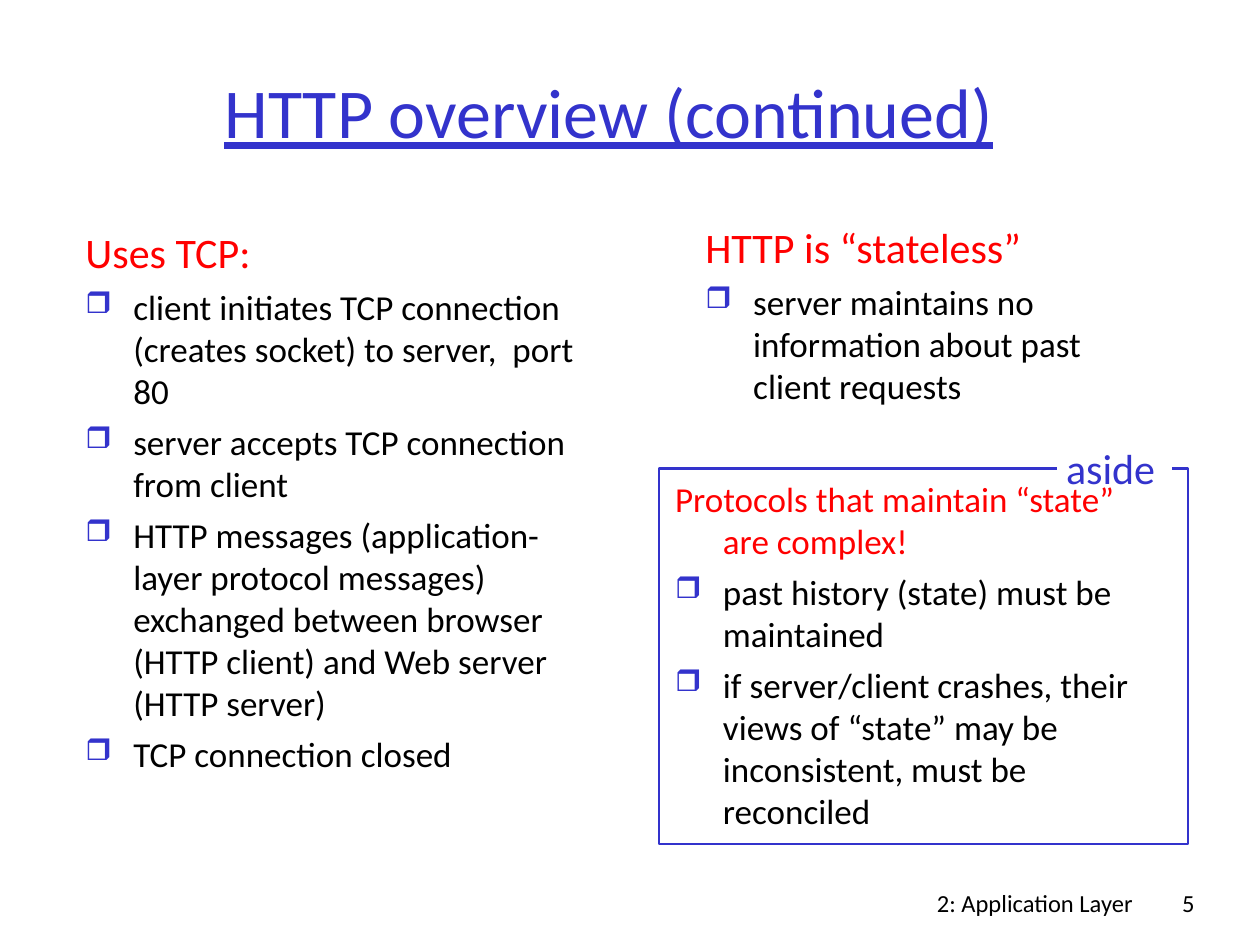
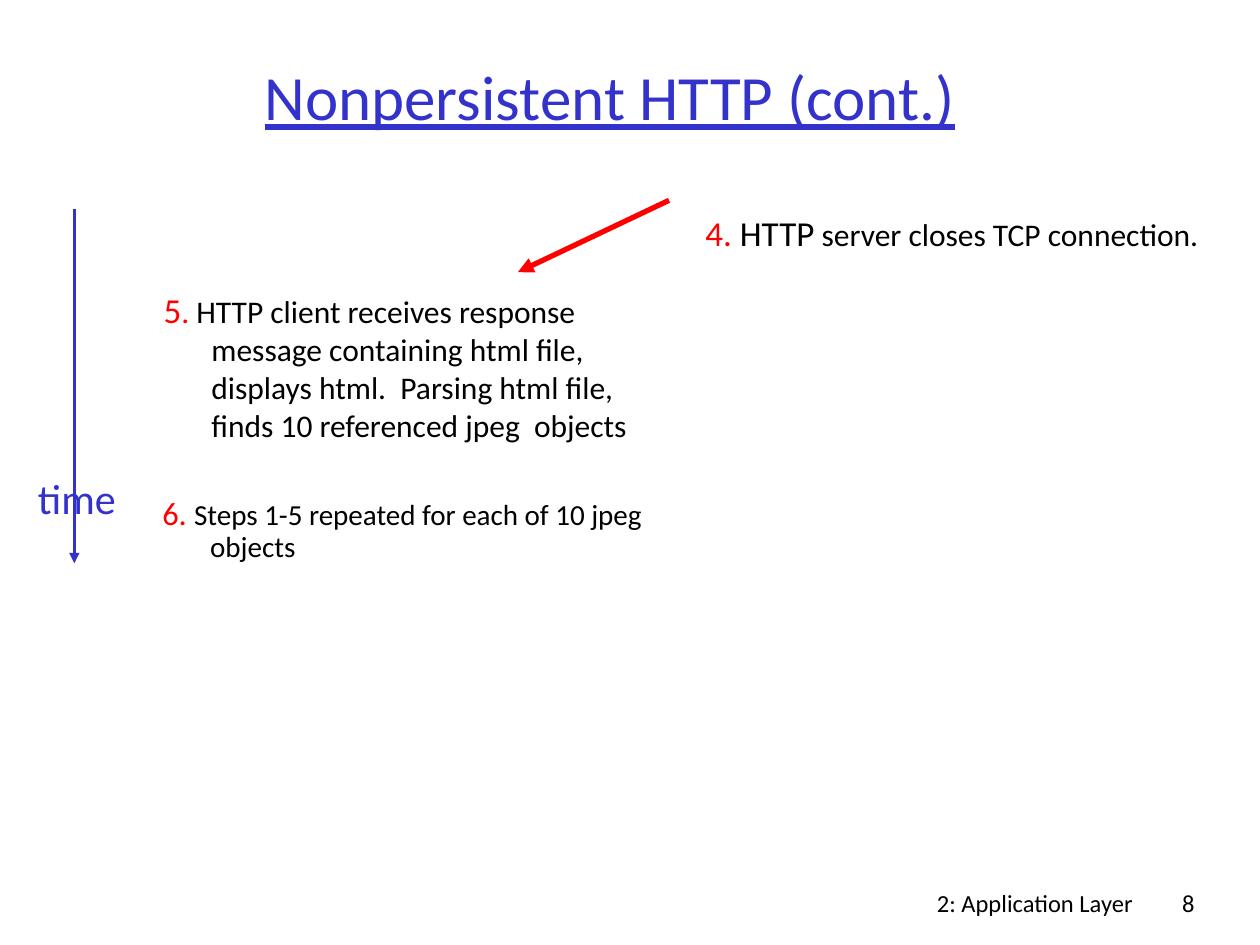
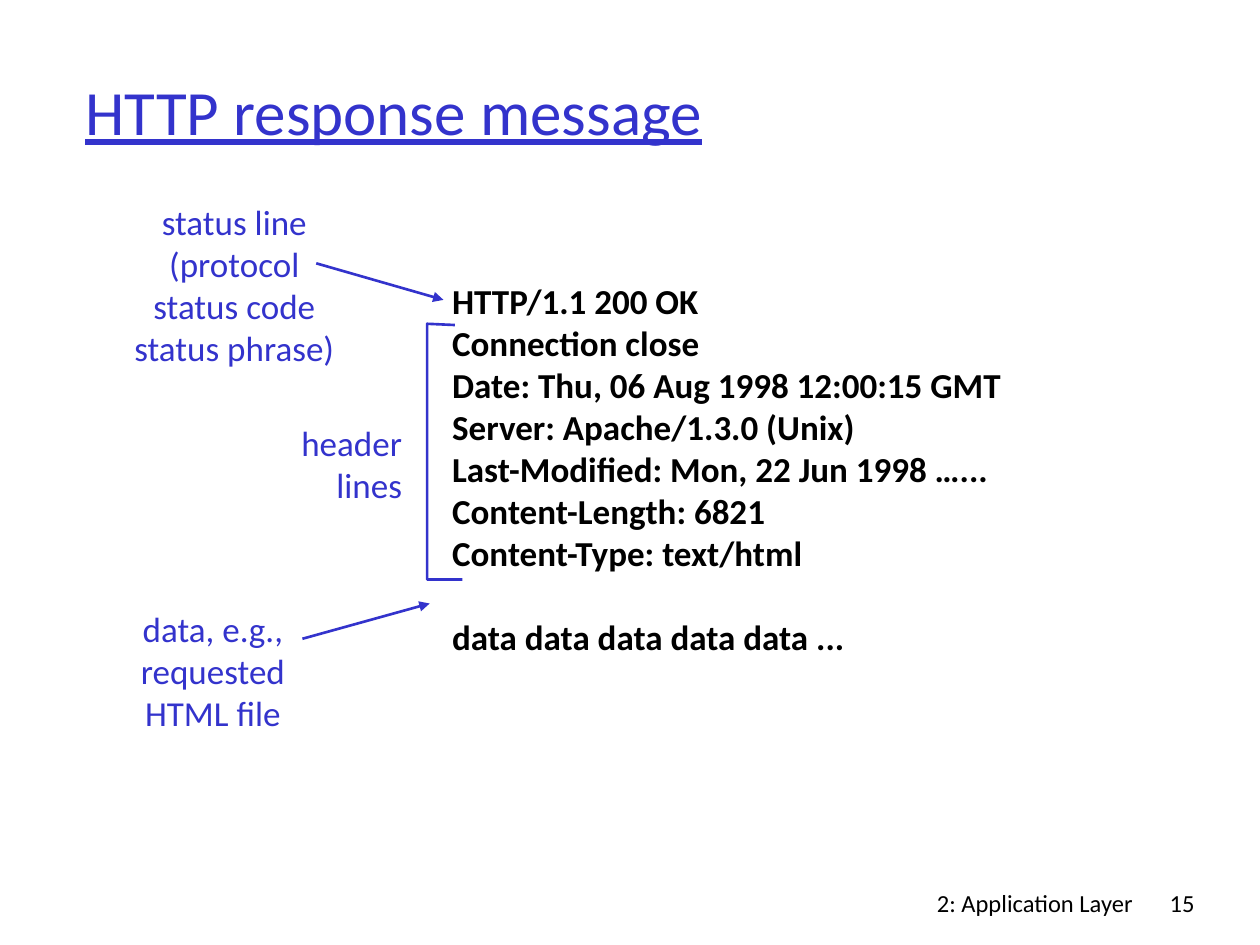
from lxml.etree import SubElement
from pptx import Presentation
from pptx.dml.color import RGBColor
from pptx.enum.shapes import MSO_CONNECTOR, MSO_SHAPE
from pptx.enum.text import MSO_ANCHOR, MSO_AUTO_SIZE, PP_ALIGN
from pptx.oxml.ns import qn
from pptx.util import Inches, Pt

BLUE = RGBColor(0x33, 0x33, 0xCC)
RED = RGBColor(0xFF, 0x00, 0x00)
BLACK = RGBColor(0x00, 0x00, 0x00)
WHITE = RGBColor(0xFF, 0xFF, 0xFF)
FONT = "Calibri"
COLUMNS, ROWS = 100, 75
HANG = Inches(0.38)
TITLE_AREA = (5.8, 2.5, 85, 12.5)


class Lecture:
    """Holds the deck's style and current slide, and draws on a 100 by 75 grid."""

    def __init__(self):
        self.deck = Presentation()
        self.deck.slide_width = Inches(10)
        self.deck.slide_height = Inches(7.5)
        self.slide = None

    def place(self, *lengths):
        cells = (self.deck.slide_width / COLUMNS, self.deck.slide_height / ROWS)
        return [round(length * cells[i % 2]) for i, length in enumerate(lengths)]

    def start(self, title, number, size=36, align=PP_ALIGN.CENTER, area=TITLE_AREA):
        self.slide = self.deck.slides.add_slide(self.deck.slide_layouts[6])
        self.text((59.2, 70, 31.7, 5), ["2: Application Layer"], 14, BLACK, PP_ALIGN.RIGHT)
        self.text((90.8, 70, 5, 5), [str(number)], 14, BLACK, PP_ALIGN.RIGHT)
        heading = self.text(area, [title], size, BLUE, align)
        heading.vertical_anchor = MSO_ANCHOR.MIDDLE
        heading.paragraphs[0].font.underline = True

    def frame(self, area, wrap=True):
        frame = self.slide.shapes.add_textbox(*self.place(*area)).text_frame
        frame.word_wrap = wrap
        frame.auto_size = MSO_AUTO_SIZE.NONE if wrap else MSO_AUTO_SIZE.SHAPE_TO_FIT_TEXT
        return frame

    def paragraph(self, frame, text, size, color, align=PP_ALIGN.LEFT, hanging=False, bullet=None):
        first = frame.paragraphs[0]
        paragraph = frame.add_paragraph() if first.runs else first
        paragraph.alignment = align
        properties = paragraph._p.get_or_add_pPr()
        if hanging:
            properties.set("marL", str(HANG))
            properties.set("indent", str(-HANG))
        if bullet:
            paragraph.space_before = Pt(5)
            tint = SubElement(properties, qn("a:buClr"))
            SubElement(tint, qn("a:srgbClr"), val=str(BLUE))
            SubElement(properties, qn("a:buSzPct"), val="85000")
            SubElement(properties, qn("a:buChar"), char=bullet)
        paragraph.font.name = FONT
        paragraph.font.size = Pt(size)
        paragraph.font.color.rgb = color
        if text:
            paragraph.add_run().text = text
        return paragraph

    def text(self, area, lines, size, color, align=PP_ALIGN.LEFT, wrap=True):
        frame = self.frame(area, wrap)
        for line in lines:
            self.paragraph(frame, line, size, color, align)
        return frame

    def label(self, area, lines, size=20, align=PP_ALIGN.CENTER):
        return self.text(area, lines, size, BLUE, align, wrap=False)

    def points(self, area, heading, items, heading_size=24):
        frame = self.frame(area)
        self.paragraph(frame, heading, heading_size, RED, hanging=True)
        for item in items:
            self.paragraph(frame, item, 20, BLACK, hanging=True, bullet="❒")

    def step(self, area, *pieces):
        paragraph = self.paragraph(self.frame(area), "", 18, BLACK, hanging=True)
        for words, size, color in pieces:
            run = paragraph.add_run()
            run.text = words
            run.font.size = Pt(size)
            run.font.color.rgb = color
        return paragraph

    def panel(self, area, outline=None):
        panel = self.slide.shapes.add_shape(MSO_SHAPE.RECTANGLE, *self.place(*area))
        panel.shadow.inherit = False
        panel.fill.solid()
        panel.fill.fore_color.rgb = WHITE
        if outline is None:
            panel.line.fill.background()
        else:
            panel.line.color.rgb = outline
            panel.line.width = Pt(1.5)

    def arrow(self, start, end, color=BLUE, width=1.5):
        arrow = self.slide.shapes.add_connector(
            MSO_CONNECTOR.STRAIGHT, *self.place(*start, *end))
        arrow.line.color.rgb = color
        arrow.line.width = Pt(width)
        properties = arrow._element.spPr
        SubElement(properties.find(qn("a:ln")), qn("a:tailEnd"), type="triangle")
        SubElement(properties, qn("a:effectLst"))

    def bracket(self, *corners):
        start, *others = [self.place(*corner) for corner in corners]
        builder = self.slide.shapes.build_freeform(*start)
        builder.add_line_segments(others, close=False)
        bracket = builder.convert_to_shape()
        bracket.shadow.inherit = False
        bracket.fill.background()
        bracket.line.color.rgb = BLUE
        bracket.line.width = Pt(1.5)


def overview(lecture):
    """Draw the slide on TCP use and statelessness."""
    lecture.start("HTTP overview (continued)", 5, size=40)
    lecture.panel((52.3, 37.2, 42, 29.8), BLUE)
    lecture.panel((83.9, 35.4, 9.1, 3.2))
    lecture.points((5.8, 17.5, 43.4, 50.8), "Uses TCP:", [
        "client initiates TCP connection (creates socket) to server,  port 80",
        "server accepts TCP connection from client",
        "HTTP messages (application-layer protocol messages) exchanged between "
        "browser (HTTP client) and Web server (HTTP server)",
        "TCP connection closed",
    ])
    lecture.points((55, 17.1, 34.7, 16.6), "HTTP is “stateless”", [
        "server maintains no information about past client requests",
    ])
    lecture.points((52.6, 37.4, 41, 31.1), "Protocols that maintain “state” are complex!", [
        "past history (state) must be maintained",
        "if server/client crashes, their views of “state” may be "
        "inconsistent, must be reconciled",
    ], heading_size=20)
    lecture.label((83.6, 34.6, 9.1, 5), ["aside"], 24)


def nonpersistent(lecture):
    """Draw the slide on the last steps of a nonpersistent exchange."""
    lecture.start("Nonpersistent HTTP (cont.)", 8, area=(5.9, 2.8, 85, 9.5))
    lecture.step((12, 22.4, 41.7, 16.8), ("5", 20, RED), (".", 18, RED), (
        " HTTP client receives response message containing html file, displays html.  "
        "Parsing html file, finds 10 referenced jpeg  objects", 18, BLACK))
    repeat = lecture.step((11.9, 39, 41.7, 7.3), ("6. ", 18.5, RED), (
        "Steps 1-5 repeated for each of 10 jpeg objects", 16.6, BLACK))
    repeat.line_spacing = 0.9
    lecture.step((55, 16.3, 41.7, 8), ("4.", 20, RED), (" HTTP", 20, BLACK),
                 (" server closes TCP connection.", 18, BLACK))
    lecture.arrow((5.9, 16.6), (5.9, 44.7))
    lecture.label((2, 37, 8.2, 5), ["time"], 24)
    lecture.arrow((53.1, 15.9), (41.1, 21.6), RED, 3)


def response(lecture):
    """Draw the slide on the parts of a response message."""
    lecture.start("HTTP response message", 15, align=PP_ALIGN.LEFT)
    message = lecture.text((34.9, 21.7, 46.3, 31), [
        "HTTP/1.1 200 OK",
        "Connection close",
        "Date: Thu, 06 Aug 1998 12:00:15 GMT",
        "Server: Apache/1.3.0 (Unix)",
        "Last-Modified: Mon, 22 Jun 1998 …...",
        "Content-Length: 6821",
        "Content-Type: text/html",
        "data data data data data ...",
    ], 20, BLACK, wrap=False)
    for line in message.paragraphs:
        line.font.bold = True
    message.paragraphs[-1].space_before = Pt(24)
    lecture.label((9.6, 15.4, 18, 14.4),
                  ["status line", "(protocol", "status code", "status phrase)"])
    lecture.arrow((25.1, 20.9), (35.2, 23.8))
    lecture.bracket((36.1, 25.8), (33.9, 25.7), (33.9, 46), (36.7, 46))
    lecture.label((22.9, 33, 10, 7.7), ["header", "lines"], align=PP_ALIGN.RIGHT)
    lecture.arrow((24, 50.7), (34.1, 47.9))
    lecture.label((10, 47.7, 13.8, 11), ["data, e.g.,", "requested", "HTML file"])


def main():
    """Build the three slides and save them."""
    lecture = Lecture()
    for draw in (overview, nonpersistent, response):
        draw(lecture)
    lecture.deck.save("out.pptx")


if __name__ == "__main__":
    main()
